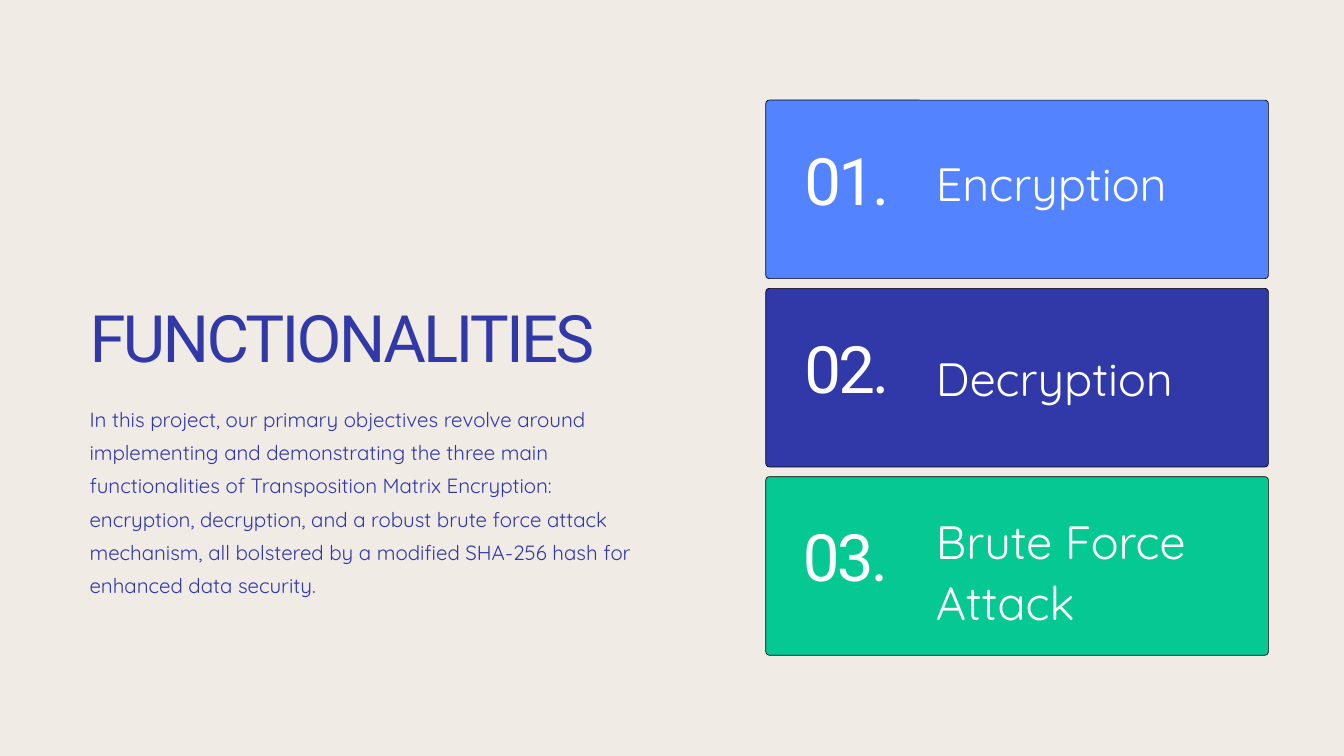
from pptx import Presentation
from pptx.dml.color import RGBColor
from pptx.enum.shapes import MSO_SHAPE as Preset
from pptx.enum.text import MSO_ANCHOR as Anchor, MSO_AUTO_SIZE as AutoSize, PP_ALIGN as Align
from pptx.util import Pt

EMU_PER_PX = 9525
CREAM, INDIGO, BLUE, GREEN = "F1EBE5", "3139A8", "5383FF", "06C892"
WHITE, BLACK = "FFFFFF", "000000"
CARD_LEFT, CARD_TOP, CARD_WIDTH, CARD_HEIGHT, CARD_PITCH = 1094, 143, 718, 255, 269


def px(*lengths):
    """Turn px lengths into EMU."""
    return [length * EMU_PER_PX for length in lengths]


def color(value):
    """Turn a hex string into a colour."""
    return RGBColor.from_string(value)


class FunctionalitiesSlide:
    """Slide with the shared text and card style."""

    heading_font, body_font = "Roboto", "Quicksand"

    def __init__(self, deck):
        """Add a title-only slide with the background colour."""
        self.slide = deck.slides.add_slide(deck.slide_layouts[5])
        self.slide.background.fill.solid()
        self.slide.background.fill.fore_color.rgb = color(CREAM)

    def set_text(self, shape, text, font, size, leading, ink, tracking=0):
        """Fill a shape with one styled paragraph."""
        frame = shape.text_frame
        frame.auto_size = AutoSize.NONE
        frame.word_wrap = True
        frame.vertical_anchor = Anchor.TOP
        frame.margin_left = frame.margin_top = frame.margin_right = frame.margin_bottom = 0
        frame.text = text
        paragraph = frame.paragraphs[0]
        paragraph.alignment = Align.LEFT
        paragraph.line_spacing = Pt(leading)
        paragraph.font.name = font
        paragraph.font.size = Pt(size)
        paragraph.font.color.rgb = color(ink)
        if tracking:
            paragraph.runs[0]._r.get_or_add_rPr().set("spc", str(tracking))

    def set_heading(self, shape, text, ink):
        """Fill a shape with large, tightly tracked text."""
        self.set_text(shape, text, self.heading_font, 70, 76.3, ink, -290)

    def title(self, text, *box):
        """Place and format the title placeholder."""
        title = self.slide.shapes.title
        title.left, title.top, title.width, title.height = px(*box)
        self.set_heading(title, text, INDIGO)

    def card(self, top, fill):
        """Draw a thinly outlined rounded card."""
        card = self.slide.shapes.add_shape(
            Preset.ROUNDED_RECTANGLE, *px(CARD_LEFT, top, CARD_WIDTH, CARD_HEIGHT))
        card.adjustments[0] = 0.02
        card.shadow.inherit = False
        card.fill.solid()
        card.fill.fore_color.rgb = color(fill)
        card.line.color.rgb = color(BLACK)
        card.line.width = Pt(0.75)

    def number(self, text, *box):
        """Add a card number."""
        self.set_heading(self.slide.shapes.add_textbox(*px(*box)), text, WHITE)

    def body(self, text, size, leading, ink, *box):
        """Add text in the body font."""
        self.set_text(self.slide.shapes.add_textbox(*px(*box)), text,
                      self.body_font, size, leading, ink)


def main():
    """Build and save the slide."""
    deck = Presentation()
    deck.slide_width, deck.slide_height = px(1920, 1080)
    page = FunctionalitiesSlide(deck)
    page.title("FUNCTIONALITIES", 128, 435, 832, 105)
    functions = [
        ("Encryption", BLUE, 1149, 72, 85),
        ("Decryption", INDIGO, 1149, 81, 85),
        ("Brute Force Attack", GREEN, 1147, 45, 171),
    ]
    for index, (function, fill, number_left, label_drop, label_height) in enumerate(functions):
        top = CARD_TOP + index * CARD_PITCH
        page.card(top, fill)
        page.number(f"{index + 1:02}.", number_left, top + 67, 150, 105)
        page.body(function, 50, 65, WHITE, 1337, top + label_drop, 422, label_height)
    page.body(
        "In this project, our primary objectives revolve around implementing and "
        "demonstrating the three main functionalities of Transposition Matrix Encryption: "
        "encryption, decryption, and a robust brute force attack mechanism, all bolstered "
        "by a modified SHA-256 hash for enhanced data security.",
        22, 35.6, INDIGO, 128, 569, 795, 279)
    deck.save("out.pptx")


if __name__ == "__main__":
    main()
